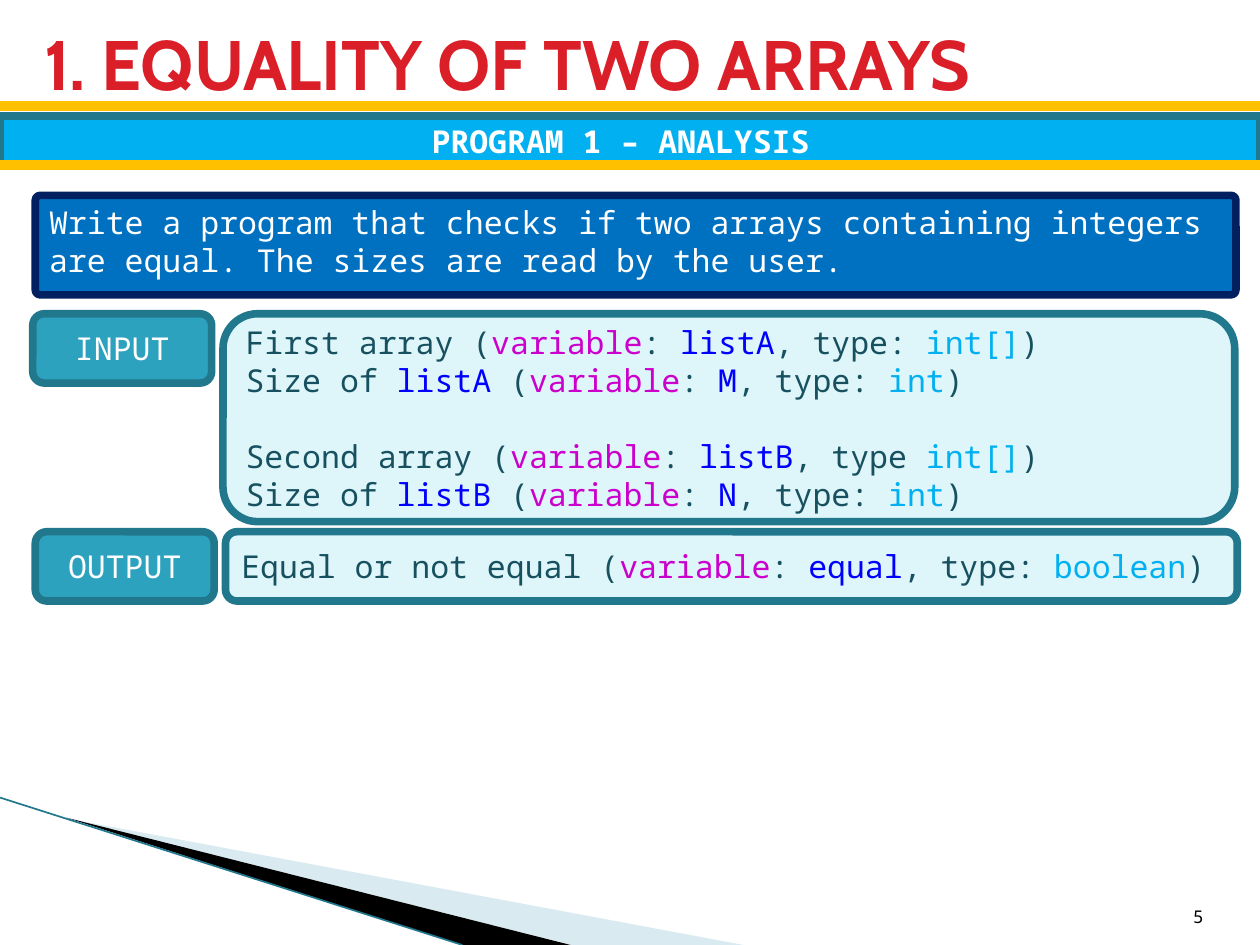
from dataclasses import dataclass
from typing import NamedTuple

from lxml import etree
from pptx import Presentation
from pptx.dml.color import RGBColor
from pptx.enum.shapes import MSO_CONNECTOR, MSO_SHAPE
from pptx.enum.text import MSO_ANCHOR, MSO_AUTO_SIZE, PP_ALIGN
from pptx.oxml.ns import qn
from pptx.util import Inches, Pt

STRAIGHT = MSO_CONNECTOR.STRAIGHT
RECTANGLE, ROUNDED = MSO_SHAPE.RECTANGLE, MSO_SHAPE.ROUNDED_RECTANGLE
TOP, MIDDLE, BOTTOM = MSO_ANCHOR.TOP, MSO_ANCHOR.MIDDLE, MSO_ANCHOR.BOTTOM
LEFT, CENTER, RIGHT = PP_ALIGN.LEFT, PP_ALIGN.CENTER, PP_ALIGN.RIGHT

WHITE = RGBColor(0xFF, 0xFF, 0xFF)
BLACK = RGBColor(0x00, 0x00, 0x00)
RED = RGBColor(0xDA, 0x1F, 0x28)
GOLD = RGBColor(0xFF, 0xC0, 0x00)
SKY = RGBColor(0x00, 0xB0, 0xF0)
BLUE = RGBColor(0x00, 0x70, 0xC0)
NAVY = RGBColor(0x00, 0x20, 0x60)
TEAL = RGBColor(0x2D, 0xA2, 0xBF)
DARK_TEAL = RGBColor(0x21, 0x78, 0x8D)
PALE_TEAL = RGBColor(0xDE, 0xF5, 0xFA)
INK = RGBColor(0x17, 0x51, 0x60)
MAGENTA = RGBColor(0xCC, 0x00, 0xCC)
NAME_BLUE = RGBColor(0x00, 0x00, 0xFF)
MIST = RGBColor(0xA0, 0xCB, 0xDC)

TITLE_FONT, MONO_FONT = "Cabin", "Noto Sans Mono"
BODY_SIZE = 18
BORDER = 4.33
GROUP_GAP = Pt(21.8)

# Grid of 10 columns by 7.5 rows
COLUMNS, ROWS = 10, 7.5
WIDTH, HEIGHT = Inches(10), Inches(7.5)


class Span(NamedTuple):
    text: str
    color: RGBColor = WHITE
    bold: bool = False


class Area(NamedTuple):
    left: float
    top: float
    width: float
    height: float


@dataclass
class Panel:
    area: Area
    fill: RGBColor
    lines: list[list[Span]]
    border: RGBColor = DARK_TEAL
    kind: MSO_SHAPE = ROUNDED
    corner: float | None = None
    align: PP_ALIGN = LEFT
    anchor: MSO_ANCHOR = MIDDLE
    group_starts: tuple[int, ...] = ()


def col(count: float) -> int:
    return round(WIDTH * count / COLUMNS)


def row(count: float) -> int:
    return round(HEIGHT * count / ROWS)


def place(area: Area) -> tuple[int, int, int, int]:
    return col(area.left), row(area.top), col(area.width), row(area.height)


def add_spans(paragraph, spans: list[Span], size: float = BODY_SIZE, font: str = MONO_FONT) -> None:
    for span in spans:
        run = paragraph.add_run()
        run.text = span.text
        run.font.name, run.font.size, run.font.bold = font, Pt(size), span.bold
        run.font.color.rgb = span.color


def draw_panel(shapes, panel: Panel) -> None:
    shape = shapes.add_shape(panel.kind, *place(panel.area))
    shape.shadow.inherit = False
    shape.fill.solid()
    shape.fill.fore_color.rgb = panel.fill
    shape.line.color.rgb = panel.border
    shape.line.width = Pt(BORDER)
    if panel.corner is not None:
        shape.adjustments[0] = panel.corner
    frame = shape.text_frame
    frame.word_wrap = True
    frame.vertical_anchor = panel.anchor
    for index, spans in enumerate(panel.lines):
        paragraph = frame.add_paragraph() if index else frame.paragraphs[0]
        paragraph.alignment = panel.align
        if index in panel.group_starts:
            paragraph.space_before = GROUP_GAP
        add_spans(paragraph, spans)


def draw_line(shapes, start: tuple[float, float], end: tuple[float, float],
              color: RGBColor, width: float) -> None:
    line = shapes.add_connector(STRAIGHT, col(start[0]), row(start[1]), col(end[0]), row(end[1]))
    line.line.color.rgb = color
    line.line.width = Pt(width)
    etree.SubElement(line._element.spPr, qn("a:effectLst"))


def draw_wedge(shapes, points: list[tuple[float, float]], color: RGBColor,
               opacity: int = 100) -> None:
    """Draw a filled outline; opacity is in percent."""
    corners = [(col(x), row(y)) for x, y in points]
    builder = shapes.build_freeform(*corners[0])
    builder.add_line_segments(corners[1:])
    wedge = builder.convert_to_shape()
    wedge.shadow.inherit = False
    wedge.line.fill.background()
    wedge.fill.solid()
    wedge.fill.fore_color.rgb = color
    if opacity < 100:
        tint = wedge._element.spPr.find(qn("a:solidFill"))[0]
        etree.SubElement(tint, qn("a:alpha"), val=str(opacity * 1000))


def declaration(lead: list[Span], name: str, type_name: str, joiner: str = ", type: ") -> list[Span]:
    """Describe one program variable: its meaning, name and type."""
    return [*lead, Span("variable", MAGENTA), Span(": ", INK), Span(name, NAME_BLUE),
            Span(joiner, INK), Span(type_name, SKY), Span(")", INK)]


def size_of(array: str) -> list[Span]:
    return [Span("Size of ", INK), Span(f"{array} ", NAME_BLUE), Span("(", INK)]


def label(text: str, left: float, top: float) -> Panel:
    return Panel(Area(left, top, 1.42, 0.55), TEAL, [[Span(text)]], align=CENTER)


PANELS = [
    Panel(Area(0, 0.92, COLUMNS, 0.39), SKY, [[Span("PROGRAM 1 – ANALYSIS ", bold=True)]],
          kind=RECTANGLE, align=CENTER),
    Panel(Area(0.28, 1.55, 9.53, 0.79), BLUE,
          [[Span("Write a program that checks if two arrays containing integers are equal. "
                 "The sizes are read by the user.")]],
          border=NAVY, corner=0.05, anchor=TOP),
    label("INPUT", 0.26, 2.49),
    Panel(Area(1.77, 2.49, 8.03, 1.65), PALE_TEAL, [
        declaration([Span("First array (", INK)], "listA", "int[]"),
        declaration(size_of("listA"), "M", "int"),
        declaration([Span("Second array (", INK)], "listB", "int[]", ", type "),
        declaration(size_of("listB"), "N", "int"),
    ], group_starts=(2,)),
    label("OUTPUT", 0.28, 4.22),
    Panel(Area(1.79, 4.22, 8.03, 0.55), PALE_TEAL,
          [declaration([Span("Equal or not equal (", INK)], "equal", "boolean")]),
]


def main() -> None:
    deck = Presentation()
    deck.slide_width, deck.slide_height = WIDTH, HEIGHT
    slide = deck.slides.add_slide(deck.slide_layouts.get_by_name("Title Only"))
    shapes = slide.shapes

    draw_wedge(shapes, [(0.55, 6.5), (5.9, ROWS), (4.53, ROWS)], MIST, opacity=40)
    draw_wedge(shapes, [(0.53, 6.49), (4.53, ROWS), (3.67, ROWS)], BLACK)
    draw_line(shapes, (0, 6.33), (3.67, ROWS), DARK_TEAL, 0.95)

    title = shapes.title
    title.left, title.top, title.width, title.height = place(Area(0.25, 0.17, 9.47, 0.65))
    title.text_frame.auto_size = MSO_AUTO_SIZE.NONE
    title.text_frame.vertical_anchor = MIDDLE
    heading = title.text_frame.paragraphs[0]
    heading.alignment = LEFT
    add_spans(heading, [Span("1. EQUALITY OF TWO ARRAYS", RED, True)], 40, TITLE_FONT)

    for panel in PANELS:
        draw_panel(shapes, panel)
    for rule_row in (0.84, 1.31):
        draw_line(shapes, (0, rule_row), (COLUMNS, rule_row), GOLD, 6)

    page_number = shapes.add_textbox(*place(Area(9.25, 7.01, 0.4, 0.4))).text_frame
    page_number.word_wrap = True
    page_number.vertical_anchor = BOTTOM
    page_number.paragraphs[0].alignment = RIGHT
    add_spans(page_number.paragraphs[0], [Span("5", BLACK)], 10)

    deck.save("out.pptx")


if __name__ == "__main__":
    main()
